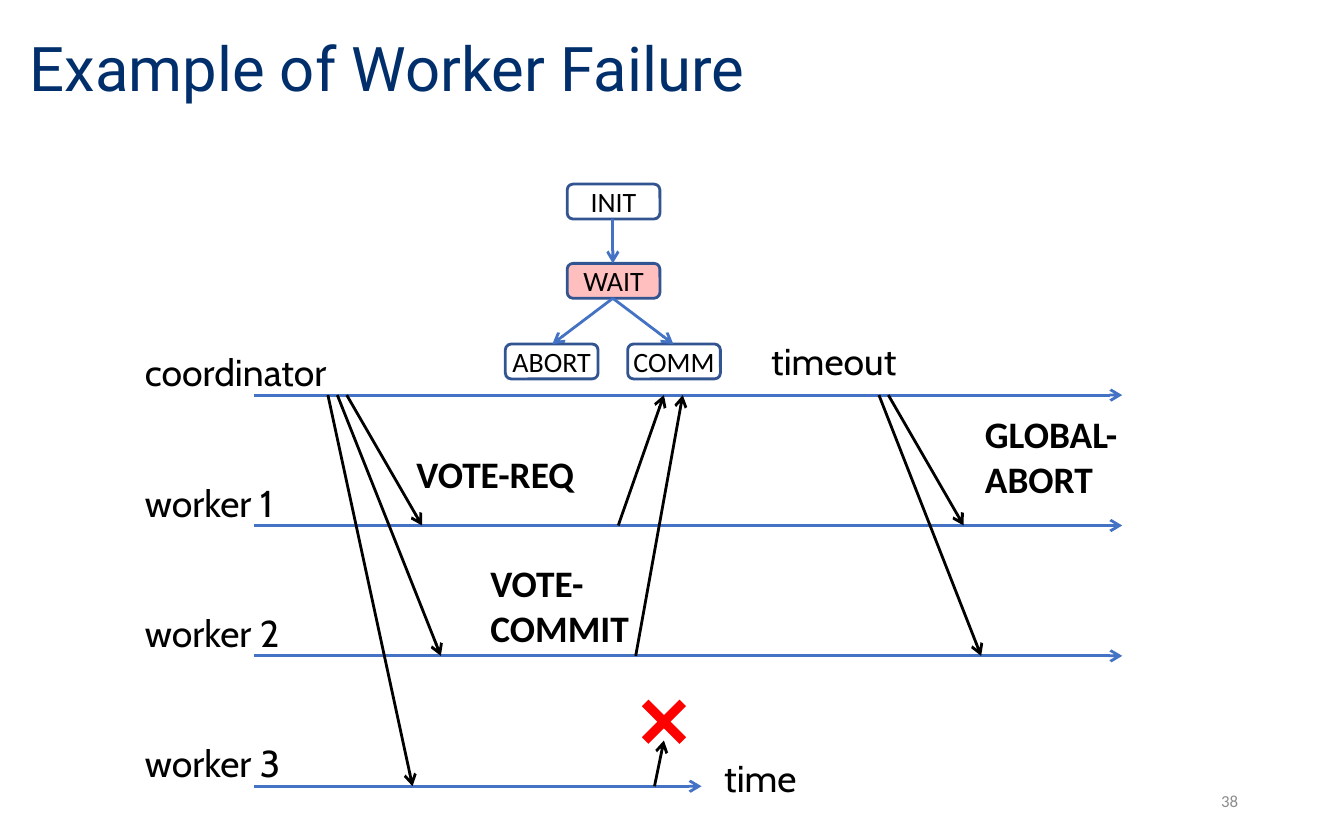
from lxml.etree import SubElement
from pptx import Presentation
from pptx.dml.color import RGBColor
from pptx.enum.shapes import MSO_CONNECTOR, MSO_SHAPE
from pptx.enum.text import MSO_ANCHOR, PP_ALIGN
from pptx.oxml.ns import qn
from pptx.util import Pt

PX = 9144
COLORS = {"title": "002F6C", "blue": "4472C4", "border": "325491",
          "black": "000000", "red": "FF0000", "gray": "8C8C8C"}
LABEL = {"size": Pt(20), "name": "Cabin"}
MESSAGE = {"size": Pt(20), "name": "Calibri", "bold": True}
STATE = {"size": Pt(15), "name": "Calibri"}
ROWS = [294 + 97 * i for i in range(4)]
NO_MARGIN = {f"margin_{side}": 0 for side in ("left", "top", "right", "bottom")}


def px(*values):
    """Turn pixel lengths into EMU."""
    return [v * PX for v in values]


def rgb(color):
    """Look up a named colour."""
    return RGBColor.from_string(COLORS[color])


def set_attrs(obj, values):
    """Set each attribute in a dict of format values."""
    for name, value in values.items():
        setattr(obj, name, value)


def write(tf, text, font, color="black", align=PP_ALIGN.LEFT, **frame):
    """Put one formatted run in a text frame."""
    set_attrs(tf, {"word_wrap": True, **frame})
    p = tf.paragraphs[0]
    p.alignment = align
    r = p.add_run()
    r.text = text
    set_attrs(r.font, font)
    r.font.color.rgb = rgb(color)
    return p


def add_title(s, text):
    """Place and format the title placeholder."""
    sp = s.shapes.title
    set_attrs(sp, dict(zip(("left", "top", "width", "height"), px(12, 10, 852, 86))))
    p = write(sp.text_frame, text, {"size": Pt(33), "name": "Roboto"}, "title",
              vertical_anchor=MSO_ANCHOR.MIDDLE)
    p.line_spacing = 0.9


def add_text(shapes, text, box, font, *args, **frame):
    """Add a text box."""
    write(shapes.add_textbox(*px(*box)).text_frame, text, font, *args, **frame)


def add_line(shapes, start, end, color="black", width=1.5, arrow=True):
    """Add a straight line, with an arrowhead at its end by default."""
    cxn = shapes.add_connector(MSO_CONNECTOR.STRAIGHT, *px(*start, *end))
    cxn.line.color.rgb = rgb(color)
    cxn.line.width = Pt(width)
    if arrow:
        SubElement(cxn.line._get_or_add_ln(), qn("a:tailEnd"), type="arrow")
    SubElement(cxn.element.spPr, qn("a:effectLst"))


def add_state(shapes, text, left, top, active=False):
    """Add a state box, tinted when it is the active state."""
    sp = shapes.add_shape(MSO_SHAPE.ROUNDED_RECTANGLE, *px(left, top, 69, 26))
    sp.shadow.inherit = False
    sp.line.color.rgb = rgb("border")
    sp.line.width = Pt(1.5)
    if active:
        sp.fill.solid()
        sp.fill.fore_color.rgb = rgb("red")
        fill = sp.element.spPr.find(qn("a:solidFill"))
        SubElement(fill[0], qn("a:alpha"), val="25000")
    else:
        sp.fill.background()
    write(sp.text_frame, text, STATE, "black", PP_ALIGN.CENTER,
          vertical_anchor=MSO_ANCHOR.MIDDLE, **NO_MARGIN)


def add_timelines(shapes):
    """Add the four participants and their time axes."""
    names = ("coordinator", "worker 1", "worker 2", "worker 3")
    for name, y, end in zip(names, ROWS, (835, 835, 835, 522)):
        add_line(shapes, (189, y), (end, y), "blue")
        add_text(shapes, name, (98, y - 39, 167, 44), LABEL)
    add_text(shapes, "time", (529, 557, 76, 44), LABEL)
    add_text(shapes, "timeout", (564, 247, 167, 44), LABEL)


def add_messages(shapes):
    """Add the vote requests, the votes and the global abort."""
    top, w1, w2, w3 = ROWS
    for x1, y1, x2, y2 in ((258, top, 314, w1), (251, top, 328, w2), (244, top, 307, w3),
                           (460, w1, 494, top), (473, w2, 508, top),
                           (661, top, 717, w1), (654, top, 730, w2)):
        add_line(shapes, (x1, y1), (x2, y2))
    for text, box in (("VOTE-REQ", (300, 331, 146, 44)),
                      ("VOTE-COMMIT", (355, 412, 153, 77)),
                      ("GLOBAL-ABORT", (723, 301, 167, 77))):
        add_text(shapes, text, box, MESSAGE)


def add_failure(shapes):
    """Add the lost vote of worker 3 and its cross."""
    add_line(shapes, (487, ROWS[3]), (494, 551))
    for x1, x2 in ((480, 508), (508, 480)):
        add_line(shapes, (x1, 523), (x2, 551), "red", 5, arrow=False)


def add_state_machine(shapes):
    """Add the states of the coordinator and their transitions."""
    add_state(shapes, "INIT", 422, 137)
    add_state(shapes, "WAIT", 422, 196, active=True)
    add_state(shapes, "ABORT", 376, 256)
    add_state(shapes, "COMM", 467, 256)
    add_line(shapes, (456, 163), (456, 196), "blue")
    for x in (411, 501):
        add_line(shapes, (456, 222), (x, 256), "blue")


def main():
    """Build the slide and save it."""
    prs = Presentation()
    prs.slide_width, prs.slide_height = px(1000, 625)
    s = prs.slides.add_slide(prs.slide_layouts[5])
    add_title(s, "Example of Worker Failure")
    add_timelines(s.shapes)
    add_messages(s.shapes)
    add_failure(s.shapes.add_group_shape().shapes)
    add_state_machine(s.shapes.add_group_shape().shapes)
    add_text(s.shapes, "38", (706, 579, 225, 33), {"size": Pt(9), "name": "Calibri"},
             "gray", PP_ALIGN.RIGHT, vertical_anchor=MSO_ANCHOR.MIDDLE)
    prs.save("out.pptx")


if __name__ == "__main__":
    main()
